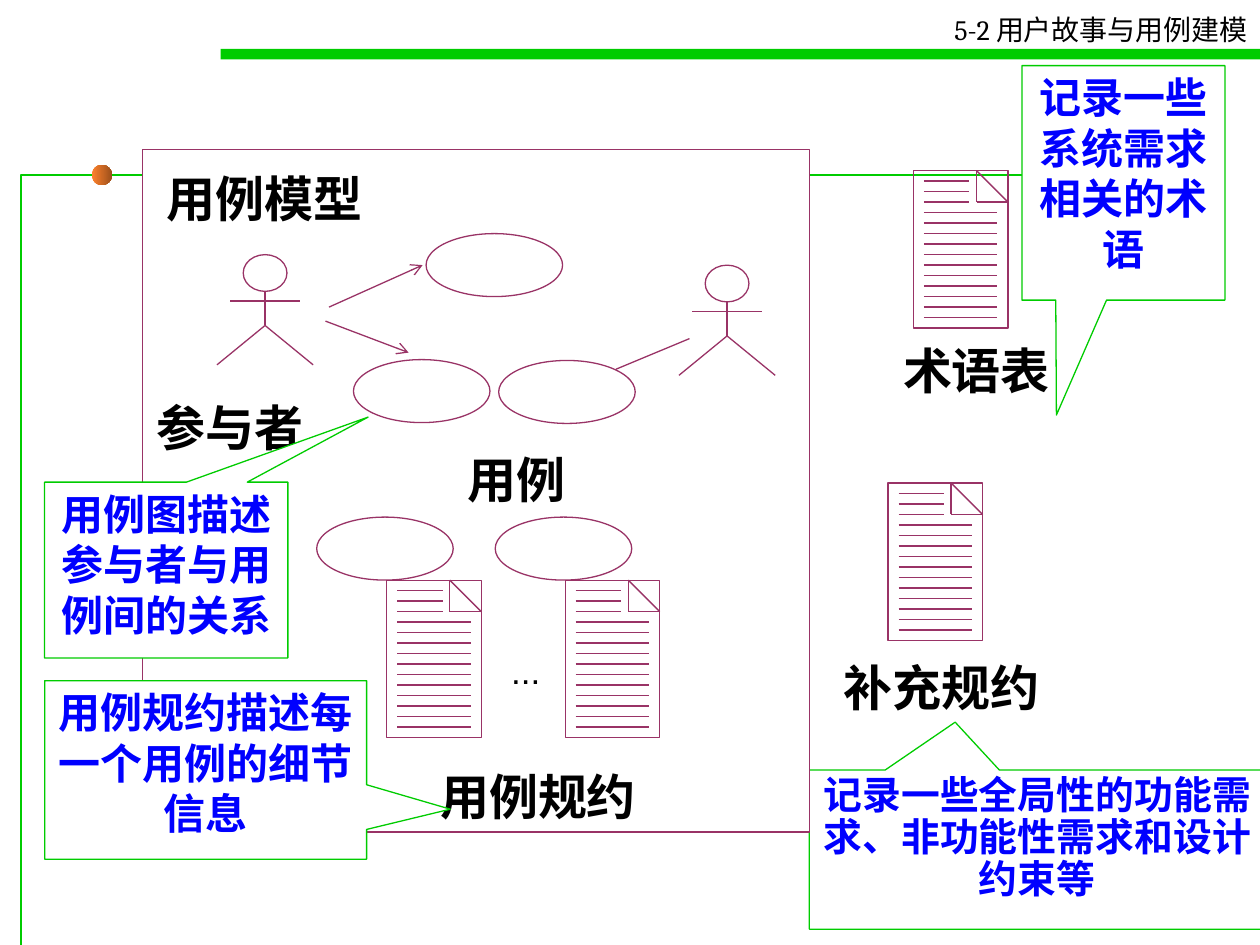
from lxml.etree import SubElement
from pptx import Presentation
from pptx.dml.color import RGBColor
from pptx.enum.shapes import MSO_CONNECTOR, MSO_SHAPE
from pptx.enum.text import MSO_ANCHOR, PP_ALIGN
from pptx.oxml.ns import qn
from pptx.util import Pt

GREEN, PLUM, BLUE, BLACK, WHITE = "00CC00", "993366", "0000FF", "000000", "FFFFFF"
OVAL_WIDTH, OVAL_HEIGHT = 78, 36


def color(hex_value):
    return RGBColor.from_string(hex_value)


def style_line(line, hex_value):
    line.color.rgb = color(hex_value)
    line.width = Pt(0.75)


def add_box(shapes, kind, left, top, width, height, fill=None, line=None):
    shape = shapes.add_shape(kind, Pt(left), Pt(top), Pt(width), Pt(height))
    shape.shadow.inherit = False
    if fill:
        shape.fill.solid()
        shape.fill.fore_color.rgb = color(fill)
    else:
        shape.fill.background()
    if line:
        style_line(shape.line, line)
    else:
        shape.line.fill.background()
    return shape


def add_line(shapes, x1, y1, x2, y2, arrow=False):
    connector = shapes.add_connector(MSO_CONNECTOR.STRAIGHT, Pt(x1), Pt(y1), Pt(x2), Pt(y2))
    style_line(connector.line, PLUM)
    if arrow:
        SubElement(connector.line._get_or_add_ln(), qn("a:tailEnd"), type="arrow")
    SubElement(connector._element.spPr, qn("a:effectLst"))


def add_polyline(shapes, points, line):
    (x, y), *others = [(Pt(x), Pt(y)) for x, y in points]
    builder = shapes.build_freeform(x, y)
    builder.add_line_segments(others, close=False)
    shape = builder.convert_to_shape()
    shape.shadow.inherit = False
    shape.fill.background()
    style_line(shape.line, line)


def set_text(shape, text, size, font="Times New Roman", hex_value=BLACK, bold=True,
             align=PP_ALIGN.CENTER, wrap=True, spacing=None):
    frame = shape.text_frame
    frame.text = text
    frame.word_wrap = wrap
    frame.vertical_anchor = MSO_ANCHOR.TOP
    paragraph = frame.paragraphs[0]
    paragraph.alignment = align
    if spacing:
        paragraph.line_spacing = spacing
    run_font = paragraph.runs[0].font
    run_font.size, run_font.name, run_font.bold = Pt(size), font, bold
    run_font.color.rgb = color(hex_value)


def add_label(slide, text, left, top, width, height=41, size=28, **style):
    label = slide.shapes.add_textbox(Pt(left), Pt(top), Pt(width), Pt(height))
    set_text(label, text, size, **style)


def add_callout(slide, text, box, tip, size=24, spacing=None):
    callout = add_box(slide.shapes, MSO_SHAPE.RECTANGULAR_CALLOUT, *box, WHITE, GREEN)
    callout.adjustments[0], callout.adjustments[1] = tip
    set_text(callout, text, size, hex_value=BLUE, spacing=spacing)


def add_oval(shapes, left, top):
    add_box(shapes, MSO_SHAPE.OVAL, left, top, OVAL_WIDTH, OVAL_HEIGHT, line=PLUM)


def add_document(shapes, left, top):
    width, height, fold, pitch = 54, 90, 18, 6
    right, crease = left + width, left + width - fold
    add_box(shapes, MSO_SHAPE.RECTANGLE, left, top, width, height, line=PLUM)
    # Folded corner
    add_line(shapes, crease, top, right, top + fold)
    add_line(shapes, crease, top, crease, top + fold)
    add_line(shapes, right, top + fold, crease, top + fold)
    # Ruled lines, shorter beside the fold
    for offset in range(pitch, height, pitch):
        length = 26 if offset <= fold else 42
        add_line(shapes, left + pitch, top + offset, left + pitch + length, top + offset)


def add_specification(slide, left, top):
    """Use case oval with its document hanging below the centre."""
    shapes = slide.shapes.add_group_shape().shapes
    add_oval(shapes, left, top)
    add_document(shapes, left + 40, top + OVAL_HEIGHT)


def add_actor(slide, left, top):
    shapes = slide.shapes.add_group_shape().shapes
    middle, hip = left + 27.5, top + 40.5
    add_box(shapes, MSO_SHAPE.OVAL, middle - 12.5, top, 25, 21, line=PLUM)
    add_line(shapes, middle, top + 21, middle, hip)
    add_line(shapes, middle - 20, top + 26.5, middle + 20, top + 26.5)
    add_polyline(shapes, [(left, hip + 22.5), (middle, hip), (left + 55, hip + 22.5)], PLUM)


def add_header(slide):
    # Green frame with its bead, and the bar under the title
    add_polyline(slide.shapes, [(12, 540), (12, 100), (621, 100)], GREEN)
    bead = add_box(slide.shapes, MSO_SHAPE.OVAL, 52.5, 94.25, 11.5, 11.5)
    bead.fill.gradient()
    bead.fill.gradient_angle = 0
    for stop, hex_value in zip(bead.fill.gradient_stops, ("FF822D", "9B4F1B")):
        stop.color.rgb = color(hex_value)
    add_box(slide.shapes, MSO_SHAPE.RECTANGLE, 126, 28, 594, 6, GREEN)
    title = slide.shapes.title
    title.left, title.top, title.width, title.height = Pt(534), Pt(3.5), Pt(186), Pt(27)
    set_text(title, "5-2 用户故事与用例建模", 16, "Cambria", bold=False,
             align=PP_ALIGN.RIGHT, wrap=False)


def add_side_documents(slide):
    for text, left, top, label_left, label_top, label_width in (
            ("补充规约", 507.5, 276, 473, 372, 130),
            ("术语表", 522, 97.5, 496, 191, 124)):
        add_document(slide.shapes.add_group_shape().shapes, left, top)
        add_label(slide, text, label_left, label_top, label_width)


def add_model(slide, left, top):
    """Use case model panel; parts are offset from its corner."""
    shapes = slide.shapes
    add_box(shapes, MSO_SHAPE.RECTANGLE, left, top, 381, 390, WHITE, PLUM)
    # Specifications
    for offset in (99.5, 201.5):
        add_specification(slide, left + offset, top + 210)
    add_label(slide, "...", left + 201, top + 282, 36, 32, 20, font="Arial", bold=False)
    # Actors, use cases and their links
    for x, y in ((42.5, 60), (306.5, 66)):
        add_actor(slide, left + x, top + y)
    for x, y in ((162, 48), (120.5, 120), (203.5, 120.5)):
        add_oval(shapes, left + x, top + y)
    for x1, y1, x2, y2, arrow in ((106.5, 90, 160, 66, True),
                                  (104.5, 98, 152, 116, True),
                                  (270.5, 125.5, 312.5, 108, False)):
        add_line(shapes, left + x1, top + y1, left + x2, top + y2, arrow)
    # Labels
    for text, x, y, width, align in (
            ("用例规约", 163, 349, 158, PP_ALIGN.LEFT),
            ("用例模型", 6.5, 7.5, 174, PP_ALIGN.LEFT),
            ("参与者", -2, 138, 104, PP_ALIGN.CENTER),
            ("用例", 156.5, 168, 114, PP_ALIGN.CENTER)):
        add_label(slide, text, left + x, top + y, width, align=align)


def main():
    presentation = Presentation()
    presentation.slide_width, presentation.slide_height = Pt(720), Pt(540)
    slide = presentation.slides.add_slide(presentation.slide_layouts[5])
    add_header(slide)
    add_callout(slide, "记录一些全局性的功能需求、非功能性需求和设计约束等",
                (462.5, 440, 260.5, 91), (-0.18, -0.8), 22.2, 0.9)
    add_side_documents(slide)
    add_model(slide, 81.5, 85.5)
    add_callout(slide, "用例图描述参与者与用例间的关系",
                (25.5, 275.5, 139, 100.5), (0.83, -0.87))
    add_callout(slide, "用例规约描述每一个用例的细节信息",
                (25.5, 389, 184, 102), (0.76, 0.22))
    add_callout(slide, "记录一些系统需求相关的术语",
                (584, 37.5, 116, 134), (-0.33, 0.99))
    presentation.save("out.pptx")


if __name__ == "__main__":
    main()
